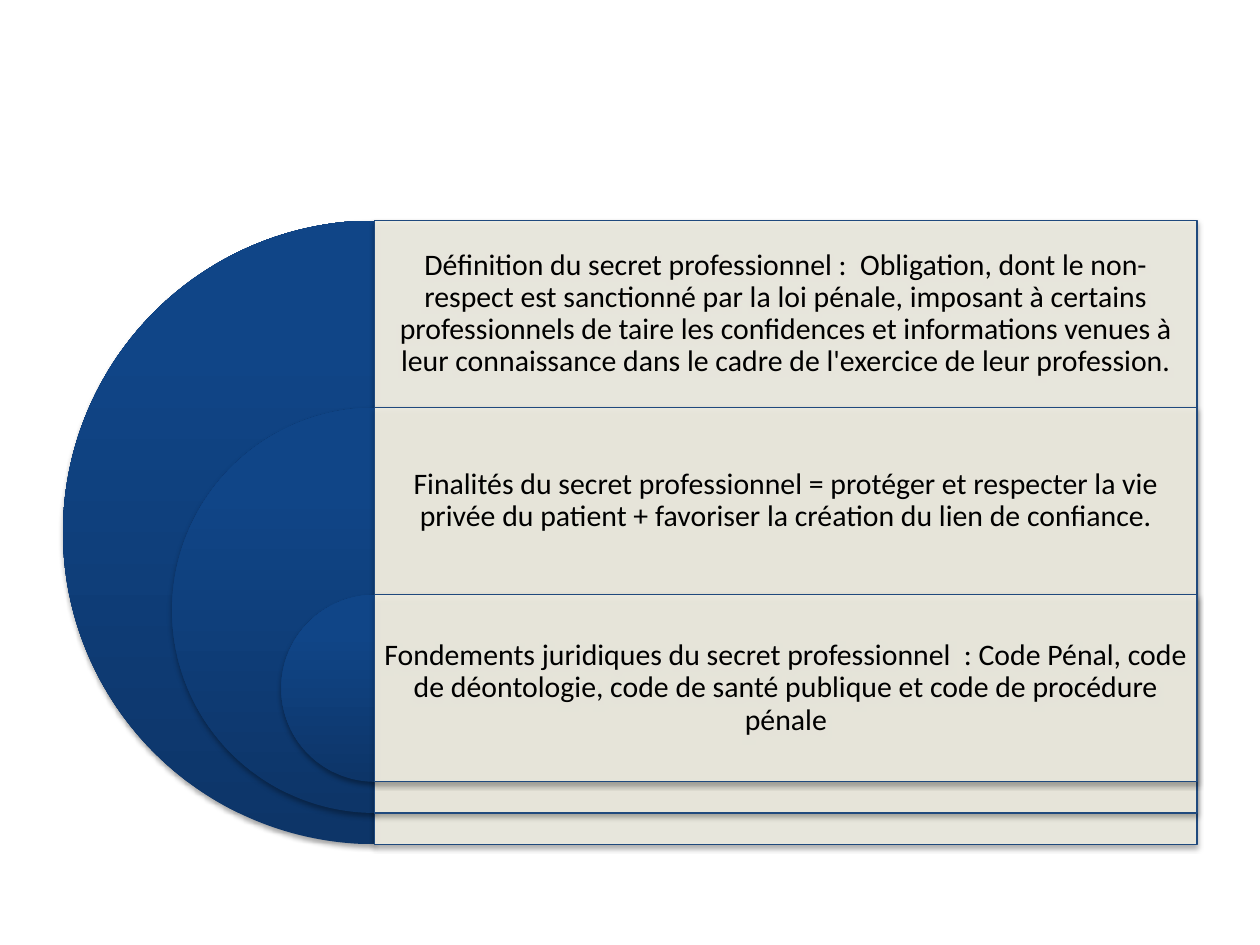
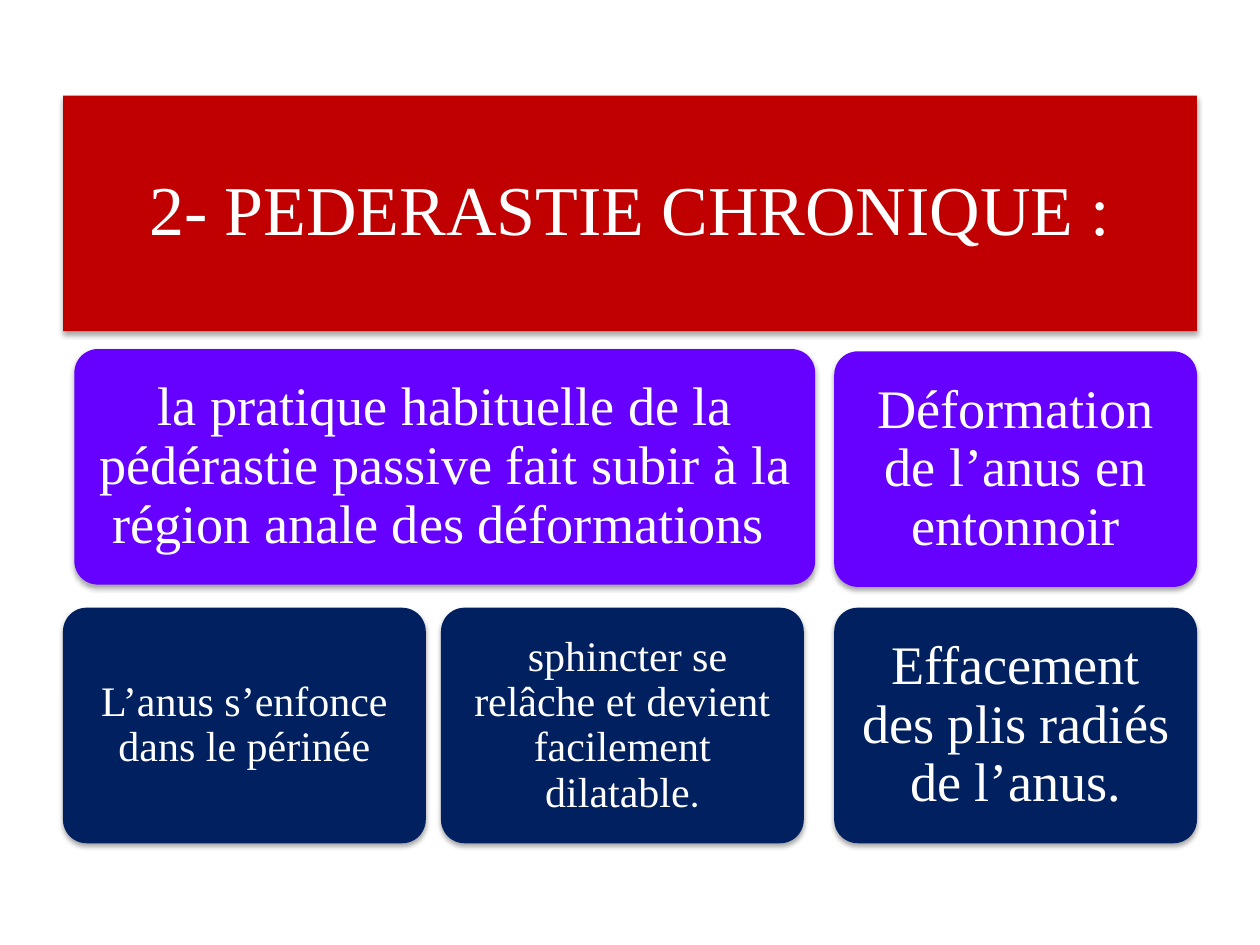
from copy import deepcopy

from lxml.etree import SubElement
from pptx import Presentation
from pptx.dml.color import RGBColor
from pptx.enum.shapes import MSO_SHAPE
from pptx.enum.text import MSO_ANCHOR, MSO_AUTO_SIZE, PP_ALIGN
from pptx.oxml.ns import qn
from pptx.util import Pt

BLACK = RGBColor(0x00, 0x00, 0x00)
WHITE = RGBColor(0xFF, 0xFF, 0xFF)
CREAM = RGBColor(0xEE, 0xEC, 0xE1)
BORDER_BLUE = RGBColor(0x1F, 0x49, 0x7D)
RED = RGBColor(0xC0, 0x00, 0x00)
PURPLE = RGBColor(0x66, 0x00, 0xFF)
NAVY = RGBColor(0x00, 0x20, 0x60)
DISC_STOPS = [
    (0, RGBColor(0x0D, 0x35, 0x68)),
    (0.8, RGBColor(0x10, 0x45, 0x87)),
    (1, RGBColor(0x0E, 0x45, 0x8A)),
]

FRAME_FORMAT = {
    "word_wrap": True,
    "auto_size": MSO_AUTO_SIZE.NONE,
    "vertical_anchor": MSO_ANCHOR.MIDDLE,
}
PARAGRAPH_FORMAT = {"alignment": PP_ALIGN.CENTER, "line_spacing": 0.9}
PANEL_FONT = {"name": "Calibri", "size": Pt(17)}
TITLE_FONT = {"name": "Times New Roman", "size": Pt(40)}
LARGE_FONT = {"name": "Times New Roman", "size": Pt(31)}
SMALL_FONT = {"name": "Times New Roman", "size": Pt(24)}
FULL_STOP_FONT = {"name": "Calibri", "size": Pt(22)}

RIGHT_EDGE = 684
DISC_AXIS = 214.2
DISC_TOP = 126
DISC_SIZE = 356.4
BAND_HEIGHT = 0.3 * DISC_SIZE
SIZE_STEP = 0.35 * DISC_SIZE
PANEL_INSET = 5

CARD_HEIGHT = 134.6
CARD_WIDTH = 207.3
COLUMNS = [36, 252, RIGHT_EDGE - CARD_WIDTH]
TITLE_TOP = 54.6
PURPLE_TOP = 200.8
NAVY_TOP = 347.3

PRINCIPLES = [
    "Définition du secret professionnel :  Obligation, dont le non-respect est "
    "sanctionné par la loi pénale, imposant à certains professionnels de taire les "
    "confidences et informations venues à leur connaissance dans le cadre de "
    "l'exercice de leur profession.",
    "Finalités du secret professionnel = protéger et respecter la vie privée du "
    "patient + favoriser la création du lien de confiance.",
    "Fondements juridiques du secret professionnel  : Code Pénal, code de "
    "déontologie, code de santé publique et code de procédure pénale",
]


def apply_format(target, values):
    for name, value in values.items():
        setattr(target, name, value)


def place(shape, left, top, width, height):
    box = {"left": left, "top": top, "width": width, "height": height}
    apply_format(shape, {name: Pt(value) for name, value in box.items()})


def add_shadow(shape):
    shape.shadow.inherit = False
    effects = shape._element.spPr.find(qn("a:effectLst"))
    shadow = SubElement(
        effects,
        qn("a:outerShdw"),
        blurRad=str(Pt(3.1)),
        dist=str(Pt(1.8)),
        dir="5400000",
        rotWithShape="0",
    )
    color = SubElement(shadow, qn("a:srgbClr"), val=str(BLACK))
    SubElement(color, qn("a:alpha"), val="35000")


def write_text(shape, runs, color, inset, bottom_inset=None):
    frame = shape.text_frame
    apply_format(frame, FRAME_FORMAT)
    for side in ("left", "top", "right"):
        setattr(frame, f"margin_{side}", Pt(inset))
    frame.margin_bottom = Pt(inset if bottom_inset is None else bottom_inset)
    paragraph = frame.paragraphs[0]
    apply_format(paragraph, PARAGRAPH_FORMAT)
    for text, font in runs:
        run = paragraph.add_run()
        run.text = text
        apply_format(run.font, font)
        run.font.color.rgb = color


def add_half_disc(slide, top, size):
    disc = slide.shapes.add_shape(
        MSO_SHAPE.PIE, Pt(DISC_AXIS - size / 2), Pt(top), Pt(size), Pt(size)
    )
    disc.adjustments[0] = 54
    disc.adjustments[1] = 162
    disc.fill.gradient()
    disc.fill.gradient_angle = 90
    stop_list = disc._element.spPr.find(".//" + qn("a:gsLst"))
    stop_list.append(deepcopy(stop_list[-1]))
    for stop, (position, color) in zip(disc.fill.gradient_stops, DISC_STOPS):
        stop.position = position
        stop.color.rgb = color
    disc.line.fill.background()
    add_shadow(disc)


def add_panel(slide, top, height, text):
    panel = slide.shapes.add_shape(
        MSO_SHAPE.RECTANGLE,
        Pt(DISC_AXIS),
        Pt(top),
        Pt(RIGHT_EDGE - DISC_AXIS),
        Pt(height),
    )
    panel.fill.solid()
    panel.fill.fore_color.rgb = CREAM
    fill_color = panel._element.spPr.find(qn("a:solidFill"))[0]
    SubElement(fill_color, qn("a:alpha"), val="90000")
    panel.line.color.rgb = BORDER_BLUE
    panel.line.width = Pt(0.75)
    add_shadow(panel)
    hidden_height = height - BAND_HEIGHT
    write_text(
        panel, [(text, PANEL_FONT)], BLACK, PANEL_INSET, PANEL_INSET + hidden_height
    )


def style_card(card, color, runs, inset):
    card.fill.solid()
    card.fill.fore_color.rgb = color
    card.line.fill.background()
    add_shadow(card)
    write_text(card, runs, WHITE, inset)


def add_card(slide, left, top, width, color, runs, inset):
    card = slide.shapes.add_shape(
        MSO_SHAPE.ROUNDED_RECTANGLE, Pt(left), Pt(top), Pt(width), Pt(CARD_HEIGHT)
    )
    card.adjustments[0] = 0.1
    style_card(card, color, runs, inset)


def add_title_card(slide, text):
    title = slide.shapes.title
    place(title, COLUMNS[0], TITLE_TOP, RIGHT_EDGE - COLUMNS[0], CARD_HEIGHT)
    geometry = SubElement(title._element.spPr, qn("a:prstGeom"), prst="roundRect")
    adjustments = SubElement(geometry, qn("a:avLst"))
    SubElement(adjustments, qn("a:gd"), name="adj", fmla="val 10000")
    style_card(title, RED, [(text, TITLE_FONT)], 8.3)


def build_secrecy_slide(presentation):
    slide = presentation.slides.add_slide(presentation.slide_layouts[6])
    for index, text in enumerate(PRINCIPLES):
        top = DISC_TOP + index * BAND_HEIGHT
        size = DISC_SIZE - index * SIZE_STEP
        add_half_disc(slide, top, size)
        add_panel(slide, top, size, text)


def build_findings_slide(presentation):
    slide = presentation.slides.add_slide(presentation.slide_layouts[5])
    add_title_card(slide, "2- PEDERASTIE CHRONIQUE :")
    practice = (
        "la pratique habituelle de la pédérastie passive fait subir à la région "
        "anale des déformations "
    )
    deformation = "Déformation de l’anus en entonnoir"
    sinking = [("L’anus s’enfonce dans le périnée", SMALL_FONT)]
    sphincter = [
        (" sphincter se relâche et devient facilement dilatable", SMALL_FONT),
        (".", FULL_STOP_FONT),
    ]
    effacement = [("Effacement des plis radiés de l’anus.", LARGE_FONT)]

    add_card(slide, 42.5, 199.5, 423.3, PURPLE, [(practice, LARGE_FONT)], 5.5)
    add_card(
        slide, COLUMNS[2], PURPLE_TOP, CARD_WIDTH, PURPLE,
        [(deformation, LARGE_FONT)], 5.5,
    )
    navy_cards = [(sinking, 3.3), (sphincter, 3.3), (effacement, 5.5)]
    for left, (runs, inset) in zip(COLUMNS, navy_cards):
        add_card(slide, left, NAVY_TOP, CARD_WIDTH, NAVY, runs, inset)


def main():
    presentation = Presentation()
    presentation.slide_width = Pt(720)
    presentation.slide_height = Pt(540)
    build_secrecy_slide(presentation)
    build_findings_slide(presentation)
    presentation.save("out.pptx")


if __name__ == "__main__":
    main()
